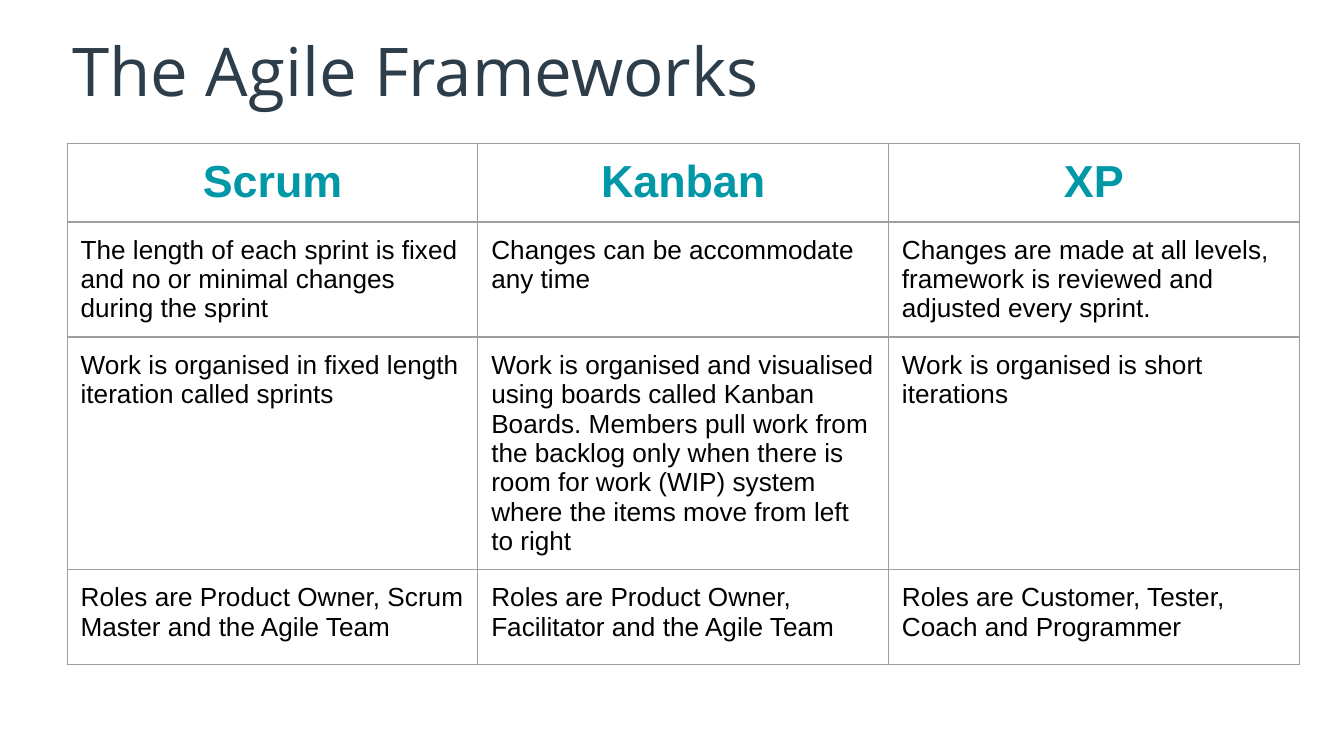
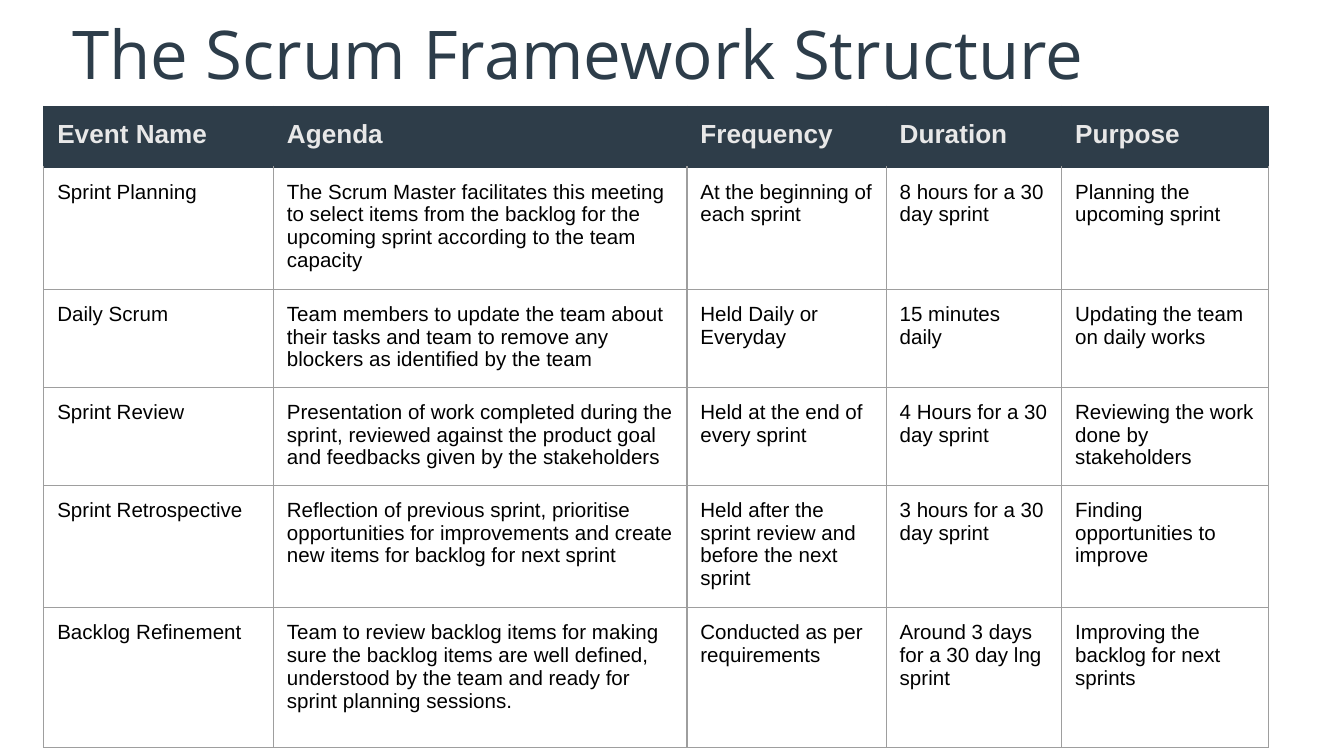
"""Build two slides that compare agile frameworks and list the Scrum events."""
from lxml import etree
from pptx import Presentation
from pptx.dml.color import RGBColor
from pptx.enum import text
from pptx.oxml import ns
from pptx.util import Pt

COLORS = {
    "title": "2D3D4A",
    "band": "2E3D49",
    "band_text": "E8E8E8",
    "accent": "0097A7",
    "body": "000000",
    "grid": "9E9E9E",
    "background": "FFFFFF",
}
TITLE_FONT, BODY_FONT = "Open Sans", "Arial"
CELL_MARGIN = 7.2
BORDER_WIDTH = 0.75

FRAMEWORKS = [
    ["Scrum", "Kanban", "XP"],
    ["The length of each sprint is fixed and no or minimal changes during the sprint",
     "Changes can be accommodate any time",
     "Changes are made at all levels, framework is reviewed and adjusted every sprint."],
    ["Work is organised in fixed length iteration called sprints",
     "Work is organised and visualised using boards called Kanban Boards. Members pull work "
     "from the backlog only when there is room for work (WIP) system where the items move "
     "from left to right",
     "Work is organised is short iterations"],
    ["Roles are Product Owner, Scrum Master and the Agile Team",
     "Roles are Product Owner, Facilitator and the Agile Team",
     "Roles are Customer, Tester, Coach and Programmer"],
]
EVENTS = [
    ["Event Name", "Agenda", "Frequency", "Duration", "Purpose"],
    ["Sprint Planning",
     "The Scrum Master facilitates this meeting to select items from the backlog for the "
     "upcoming sprint according to the team capacity",
     "At the beginning of each sprint", "8 hours for a 30 day sprint",
     "Planning the upcoming sprint"],
    ["Daily Scrum",
     "Team members to update the team about their tasks and team to remove any blockers as "
     "identified by the team",
     "Held Daily or Everyday", "15 minutes daily", "Updating the team on daily works"],
    ["Sprint Review",
     "Presentation of work completed during the sprint, reviewed against the product goal "
     "and feedbacks given by the stakeholders",
     "Held at the end of every sprint", "4 Hours for a 30 day sprint",
     "Reviewing the work done by stakeholders"],
    ["Sprint Retrospective",
     "Reflection of previous sprint, prioritise opportunities for improvements and create "
     "new items for backlog for next sprint",
     "Held after the sprint review and before the next sprint",
     "3 hours for a 30 day sprint", "Finding opportunities to improve"],
    ["Backlog Refinement",
     "Team to review backlog items for making sure the backlog items are well defined, "
     "understood by the team and ready for sprint planning sessions.",
     "Conducted as per requirements", "Around 3 days for a 30 day lng sprint",
     "Improving the backlog for next sprints"],
]


class Deck:
    """Hold the shared style and the slide being built."""

    def __init__(self):
        self.presentation = Presentation()
        self.presentation.slide_width = Pt(720)
        self.presentation.slide_height = Pt(405)
        self.slide = None

    def color(self, name):
        return RGBColor.from_string(COLORS[name])

    def add_slide(self):
        self.slide = self.presentation.slides.add_slide(self.presentation.slide_layouts[6])
        fill = self.slide.background.fill
        fill.solid()
        fill.fore_color.rgb = self.color("background")

    def format_runs(self, frame, font, size, color, bold=False):
        for paragraph in frame.paragraphs:
            for run in paragraph.runs:
                run.font.name = font
                run.font.size = Pt(size)
                run.font.bold = bold
                run.font.color.rgb = self.color(color)

    def title(self, wording, top):
        frame = self.slide.shapes.add_textbox(Pt(36), Pt(top), Pt(648), Pt(47)).text_frame
        frame.word_wrap = True
        frame.auto_size = text.MSO_AUTO_SIZE.NONE
        frame.margin_left = frame.margin_right = frame.margin_bottom = Pt(2.85)
        frame.margin_top = Pt(1)
        frame.text = wording
        self.format_runs(frame, TITLE_FONT, 36, "title")

    def borders(self, cell, color, top_color):
        properties = cell._tc.get_or_add_tcPr()
        for side in "LRTB":
            line = etree.SubElement(properties, ns.qn(f"a:ln{side}"), w=str(Pt(BORDER_WIDTH)))
            fill = etree.SubElement(line, ns.qn("a:solidFill"))
            name = top_color if side == "T" else color
            etree.SubElement(fill, ns.qn("a:srgbClr"), val=COLORS[name])

    def table(self, rows, left, top, widths, heights, header, body_size, band=None):
        shape = self.slide.shapes.add_table(
            len(rows), len(widths), Pt(left), Pt(top), Pt(sum(widths)), Pt(sum(heights)))
        table = shape.table
        table.first_row = table.horz_banding = False
        for column, width in zip(table.columns, widths):
            column.width = Pt(width)
        for index, (row, height, wordings) in enumerate(zip(table.rows, heights, rows)):
            row.height = Pt(height)
            for cell, wording in zip(row.cells, wordings):
                self.cell(cell, wording, index, header, body_size, band)

    def cell(self, cell, wording, row_index, header, body_size, band):
        is_header = row_index == 0
        header_line = band or "grid"
        self.borders(cell, header_line if is_header else "grid",
                     header_line if row_index < 2 else "grid")
        if band and is_header:
            cell.fill.solid()
            cell.fill.fore_color.rgb = self.color(band)
        else:
            cell.fill.background()
        cell.margin_left = cell.margin_right = Pt(CELL_MARGIN)
        cell.margin_top = cell.margin_bottom = Pt(CELL_MARGIN)
        frame = cell.text_frame
        frame.text = wording
        if is_header:
            frame.paragraphs[0].alignment = header["align"]
            self.format_runs(frame, BODY_FONT, header["size"], header["color"], bold=True)
        else:
            self.format_runs(frame, BODY_FONT, body_size, "body")


def main():
    deck = Deck()

    deck.add_slide()
    deck.title("The Agile Frameworks", 14.5)
    deck.table(FRAMEWORKS, 36, 77, [220] * 3, [42] + [51] * 3,
               {"size": 24, "color": "accent", "align": text.PP_ALIGN.CENTER}, 14)

    deck.add_slide()
    deck.title("The Scrum Framework Structure", 5.5)
    deck.table(EVENTS, 23.5, 57, [123, 221.5, 106.8, 94, 111],
               [32.5, 65.5, 52.5, 52.5, 65.5, 75],
               {"size": 14, "color": "band_text", "align": text.PP_ALIGN.LEFT}, 11, band="band")

    deck.presentation.save("out.pptx")


if __name__ == "__main__":
    main()
